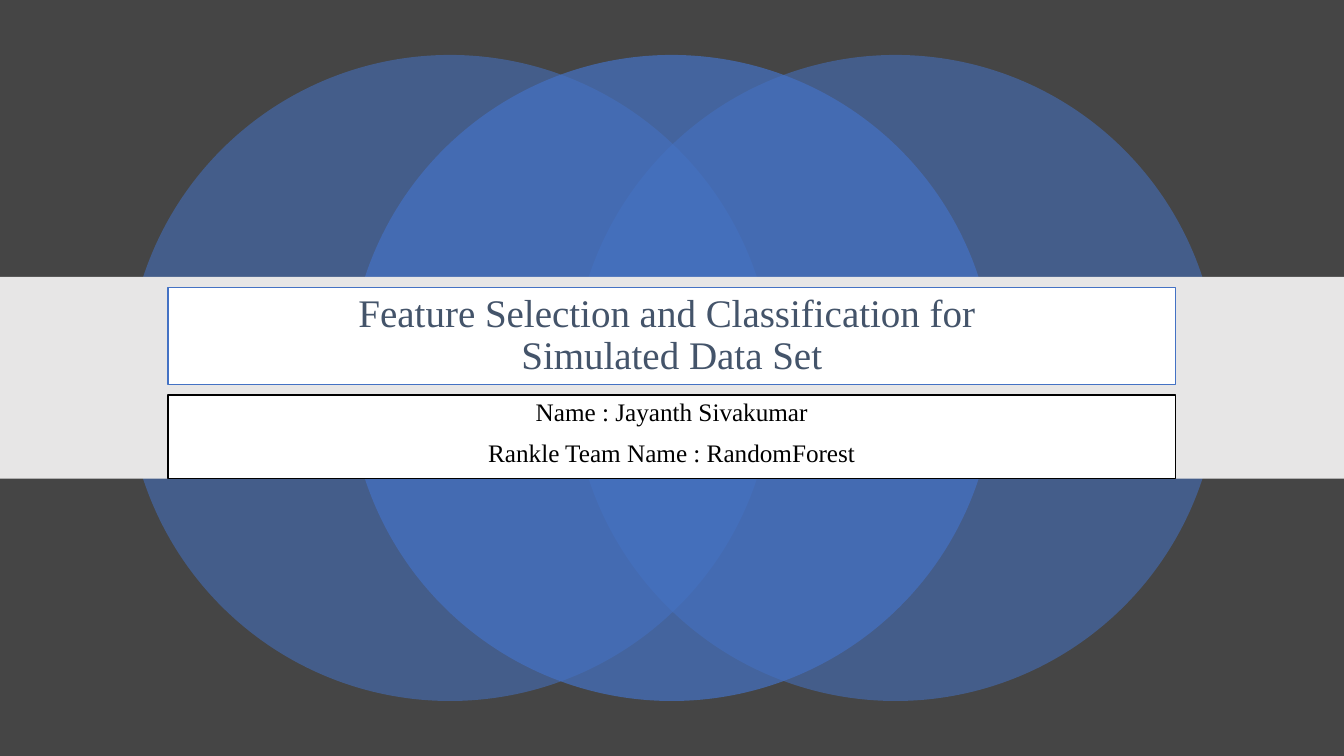
"""Build a title slide with three overlapping circles behind a title band."""
from lxml.etree import SubElement
from pptx import Presentation
from pptx.dml.color import RGBColor
from pptx.enum.shapes import MSO_SHAPE
from pptx.enum.text import MSO_ANCHOR, MSO_AUTO_SIZE, PP_ALIGN
from pptx.oxml.ns import qn
from pptx.util import Cm, Pt

COLORS = {
    "background": "454545",
    "blue": "4472C4",
    "band": "E7E6E6",
    "box": "FFFFFF",
    "title": "44546A",
    "black": "000000",
}
FONT = "Times New Roman"


def paint(shape, color):
    shape.fill.solid()
    shape.fill.fore_color.rgb = RGBColor.from_string(COLORS[color])
    shape.shadow.inherit = False


def add_text(paragraph, text, size, color):
    run = paragraph.add_run()
    run.text = text
    run.font.name = FONT
    run.font.size = Pt(size)
    run.font.color.rgb = RGBColor.from_string(COLORS[color])


presentation = Presentation()
presentation.slide_width = Cm(33.87)
presentation.slide_height = Cm(19.05)
slide = presentation.slides.add_slide(presentation.slide_layouts[0])
slide.background.fill.solid()
slide.background.fill.fore_color.rgb = RGBColor.from_string(COLORS["background"])

diameter = Cm(16.28)
circle_top = (presentation.slide_height - diameter) // 2
circles = slide.shapes.add_group_shape()
for left, opacity in ((3.2, 55), (14.43, 55), (8.79, 70)):
    circle = circles.shapes.add_shape(
        MSO_SHAPE.OVAL, Cm(left), circle_top, diameter, diameter
    )
    paint(circle, "blue")
    circle.line.fill.background()
    fill_color = circle.element.spPr.find(qn("a:solidFill"))[0]
    SubElement(fill_color, qn("a:alpha"), val=str(opacity * 1000))

band = slide.shapes.add_shape(
    MSO_SHAPE.RECTANGLE, 0, Cm(6.98), presentation.slide_width, Cm(5.08)
)
paint(band, "band")
band.line.fill.background()

title = slide.shapes.title
subtitle = slide.placeholders[1]
boxes = (
    (title, 7.25, 2.44, "blue", MSO_ANCHOR.MIDDLE),
    (subtitle, 9.95, 2.11, "black", MSO_ANCHOR.TOP),
)
for box, top, height, outline, anchor in boxes:
    slide.shapes.element.append(box.element)
    box.left, box.top = Cm(4.23), Cm(top)
    box.width, box.height = Cm(25.4), Cm(height)
    paint(box, "box")
    box.line.color.rgb = RGBColor.from_string(COLORS[outline])
    box.line.width = Pt(1)
    box.text_frame.word_wrap = True
    box.text_frame.auto_size = MSO_AUTO_SIZE.NONE
    box.text_frame.vertical_anchor = anchor

heading = title.text_frame.paragraphs[0]
heading.alignment = PP_ALIGN.CENTER
heading.line_spacing = 0.9
add_text(heading, "Feature Selection and Classification for ", 27.9, "title")
heading.add_line_break()
add_text(heading, "Simulated Data Set", 27.9, "title")

details = ("Name : Jayanth Sivakumar", "Rankle Team Name : RandomForest")
subtitle.text_frame.add_paragraph()
for paragraph, detail in zip(subtitle.text_frame.paragraphs, details):
    paragraph.alignment = PP_ALIGN.CENTER
    paragraph.line_spacing = 0.9
    paragraph.space_before = Pt(10)
    add_text(paragraph, detail, 18, "black")

presentation.save("out.pptx")
